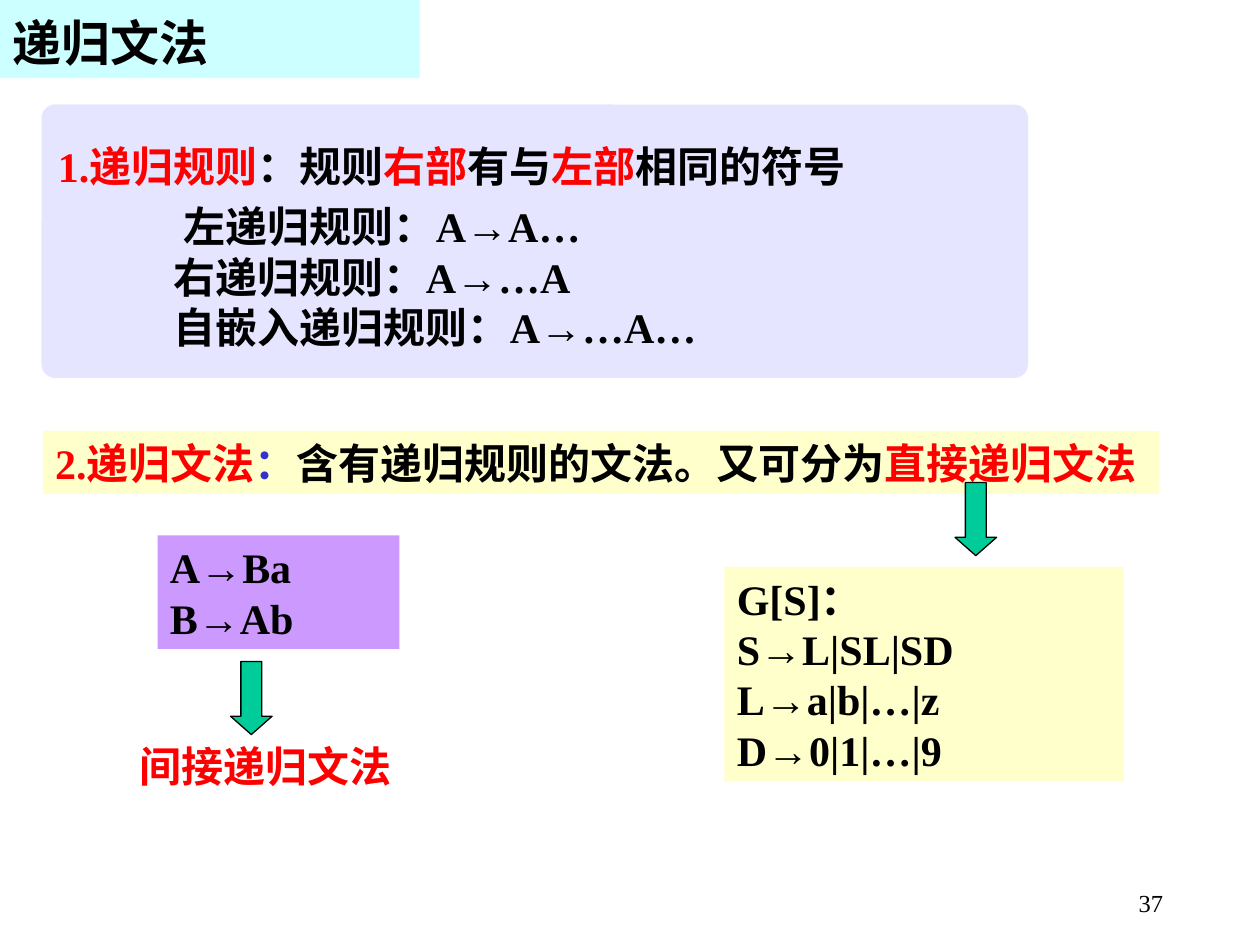
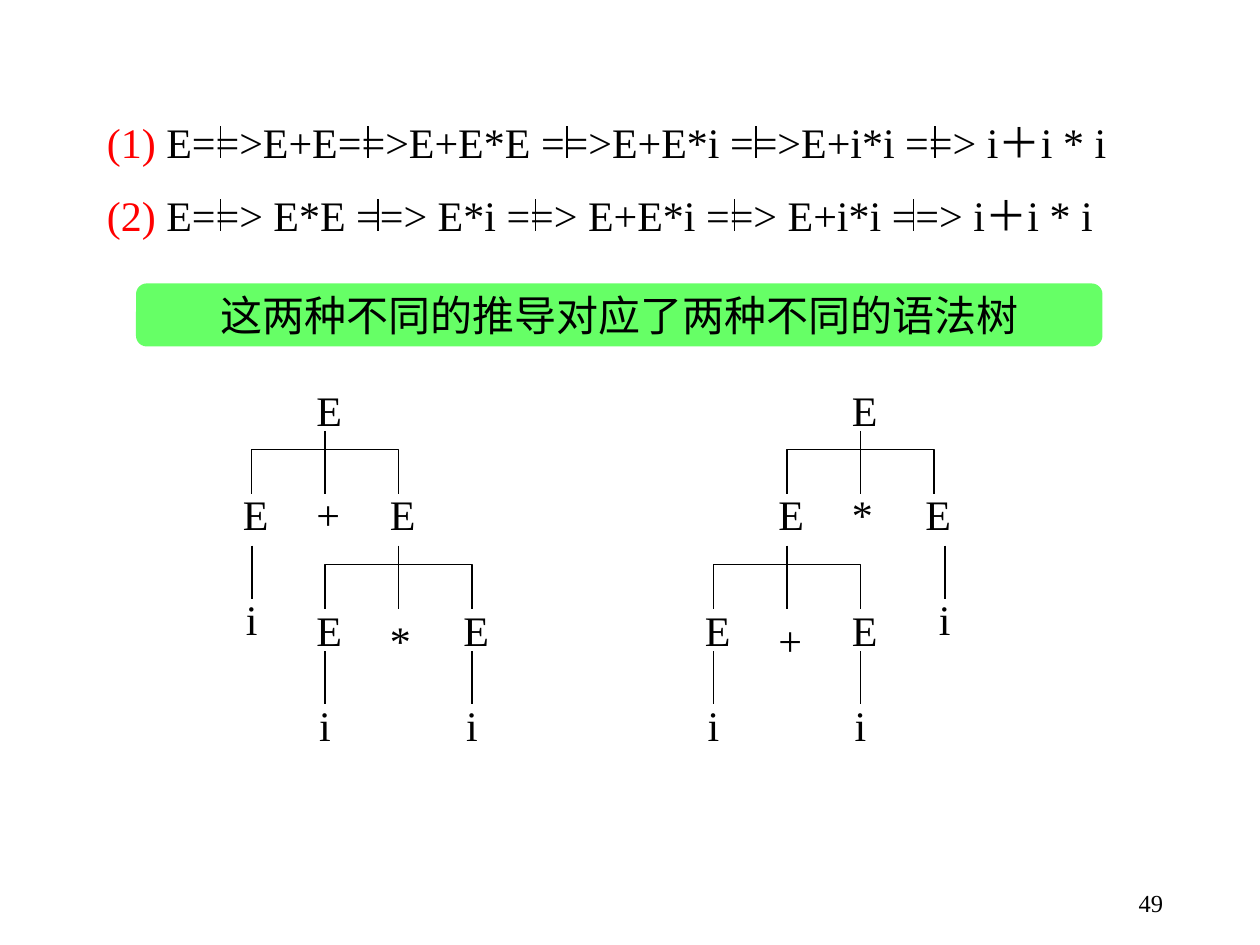
from dataclasses import dataclass
from lxml.etree import SubElement
from pptx import Presentation
from pptx.dml.color import RGBColor
from pptx.enum.shapes import MSO_CONNECTOR, MSO_SHAPE
from pptx.enum.text import MSO_ANCHOR, MSO_AUTO_SIZE, PP_ALIGN
from pptx.oxml.ns import qn
from pptx.shapes.autoshape import Shape
from pptx.slide import Slide
from pptx.util import Inches, Pt

FONT = "Times New Roman"
COLORS = {
    "black": "000000", "red": "FF0000", "blue": "3333CC", "cyan": "CCFFFF",
    "lilac": "CCCCFF", "cream": "FFFFCC", "violet": "CC99FF",
    "lime": "66FF66", "teal": "00CC99",
}
STEP = 7 / 12  # width of one tree column
STEM = 0.5
LEAF = 0.42


@dataclass
class Line:
    """One paragraph: its runs as (text, colour) pairs, and its layout."""
    runs: list[tuple[str, str]]
    indent: float = 0
    pitch: float = 1.0


@dataclass
class Box:
    left: float
    top: float
    width: float
    height: float
    lines: list[Line]
    fill: str | None = None
    size: int = 24
    bold: bool = False
    align: PP_ALIGN = PP_ALIGN.LEFT
    anchor: MSO_ANCHOR = MSO_ANCHOR.TOP
    wrap: bool = True
    round: float | None = None
    alpha: int | None = None

    @property
    def place(self) -> list[Inches]:
        return [Inches(n) for n in (self.left, self.top, self.width, self.height)]


@dataclass
class Tree:
    """A syntax tree; side is +1 or -1, where the second branch hangs."""
    root: float
    side: int
    first: str
    second: str
    leaf: float


def plain(text: str, color: str = "black", indent: float = 0, pitch: float = 1.0) -> Line:
    return Line([(text, color)], indent, pitch)


def rgb(name: str) -> RGBColor:
    return RGBColor.from_string(COLORS[name])


def paint(shape: Shape, color: str) -> None:
    shape.fill.solid()
    shape.fill.fore_color.rgb = rgb(color)


def write(shape: Shape, box: Box) -> None:
    frame = shape.text_frame
    frame.auto_size = MSO_AUTO_SIZE.NONE
    frame.word_wrap = box.wrap
    frame.vertical_anchor = box.anchor
    for i, line in enumerate(box.lines):
        para = frame.paragraphs[0] if i == 0 else frame.add_paragraph()
        para.alignment = box.align
        para.line_spacing = line.pitch
        if line.indent:
            props = para._p.get_or_add_pPr()
            props.set("marL", str(Inches(line.indent)))
            props.set("indent", "0")
        font = para.font
        font.name, font.size, font.bold = FONT, Pt(box.size), box.bold
        font.color.rgb = rgb(line.runs[0][1])
        for text, color in line.runs:
            run = para.add_run()
            run.text = text
            if len(line.runs) > 1:
                run.font.color.rgb = rgb(color)


def draw(slide: Slide, box: Box) -> None:
    if box.fill is None:
        shape = slide.shapes.add_textbox(*box.place)
    else:
        kind = MSO_SHAPE.RECTANGLE if box.round is None else MSO_SHAPE.ROUNDED_RECTANGLE
        shape = slide.shapes.add_shape(kind, *box.place)
        shape.shadow.inherit = False
        shape.line.fill.background()
        paint(shape, box.fill)
        if box.round is not None:
            shape.adjustments[0] = box.round
        if box.alpha is not None:
            tint = shape._element.spPr.find(".//" + qn("a:srgbClr"))
            SubElement(tint, qn("a:alpha"), val=str(box.alpha * 1000))
    write(shape, box)


def set_title(slide: Slide, text: str) -> None:
    box = Box(0, 0, 3.33, 0.62, [plain(text)], size=28, bold=True,
              anchor=MSO_ANCHOR.BOTTOM)
    title = slide.shapes.title
    title.left, title.top, title.width, title.height = box.place
    paint(title, "cyan")
    write(title, box)


def number(slide: Slide, page: int) -> None:
    draw(slide, Box(7.25, 7, 2.08, 0.5, [plain(str(page))], size=14,
                    align=PP_ALIGN.RIGHT))


def arrow(slide: Slide, left: float, top: float) -> None:
    shape = slide.shapes.add_shape(MSO_SHAPE.DOWN_ARROW, Inches(left), Inches(top),
                                   Inches(0.33), Inches(0.58))
    shape.adjustments[1] = 0.44
    shape.shadow.inherit = False
    paint(shape, "teal")
    shape.line.color.rgb = rgb("black")
    shape.line.width = Pt(0.75)


def stroke(slide: Slide, x: float, top: float, length: float) -> None:
    """Draw an upright line."""
    line = slide.shapes.add_connector(MSO_CONNECTOR.STRAIGHT, Inches(x), Inches(top),
                                      Inches(x), Inches(top + length))
    line.line.color.rgb = rgb("black")
    line.line.width = Pt(0.75)
    SubElement(line._element.spPr, qn("a:effectLst"))


def branch(slide: Slide, x: float, top: float) -> None:
    """Draw a stem with a bracket that reaches one column to each side."""
    stroke(slide, x, top, STEM)
    left, right = Inches(x - STEP), Inches(x + STEP)
    arm, foot = Inches(top + 0.15), Inches(top + STEM)
    path = slide.shapes.build_freeform(left, foot)
    path.add_line_segments([(left, arm), (right, arm), (right, foot)], close=False)
    shape = path.convert_to_shape()
    shape.shadow.inherit = False
    shape.fill.background()
    shape.line.color.rgb = rgb("black")
    shape.line.width = Pt(0.75)


def node(slide: Slide, text: str, x: float, top: float,
         align: PP_ALIGN = PP_ALIGN.LEFT) -> None:
    draw(slide, Box(x - 1 / 6, top, 0.33, 0.5, [plain(text)], align=align))


def grow(slide: Slide, tree: Tree) -> None:
    def col(n: float) -> float:
        return tree.root + n * STEP

    side = tree.side
    for n, top in ((0, 3.42), (side, 4.33)):
        branch(slide, col(n), top)
    for n, top in ((0, 3), (-1, 3.83), (1, 3.83), (side - 1, 4.75), (side + 1, 4.75)):
        node(slide, "E", col(n), top)
    node(slide, tree.first, col(0), 3.83)
    node(slide, tree.second, col(side), 4.83)
    for x, top in ((tree.leaf, 4.33), (col(side - 1), 5.17), (col(side + 1), 5.17)):
        stroke(slide, x, top, LEAF)
        node(slide, "i", x, top + 0.33, PP_ALIGN.CENTER)


def derive(slide: Slide, top: float, mark: str, steps: str, ticks: list[float]) -> None:
    """Write one derivation and tick each of its arrows."""
    line = Line([(mark, "red"), (steps, "black")], pitch=0.9)
    draw(slide, Box(0.75, top, 8.83, 0.46, [line]))
    for x in ticks:
        stroke(slide, x, top + 0.08, 0.25)


def rules(slide: Slide) -> None:
    set_title(slide, "递归文法")
    kinds = [
        Line([("1.递归规则", "red"), ("：规则", "black"), ("右部", "red"),
              ("有与", "black"), ("左部", "red"), ("相同的符号", "black")], pitch=1.2),
        plain("左递归规则：A→A…", indent=1, pitch=1.2),
        plain("右递归规则：A→…A", indent=0.92),
        plain("自嵌入递归规则：A→…A…", indent=0.92),
    ]
    term = Line([("2.递归文法", "red"), ("：", "blue"),
                 ("含有递归规则的文法。又可分为", "black"), ("直接递归文法", "red")])
    pair = [plain(text) for text in ("A→Ba", "B→Ab")]
    grammar = [plain(text) for text in ("G[S]：", "S→L|SL|SD", "L→a|b|…|z", "D→0|1|…|9")]
    for box in (
        Box(0.33, 0.83, 7.83, 2.17, kinds, "lilac", bold=True,
            anchor=MSO_ANCHOR.MIDDLE, wrap=False, round=0.05, alpha=50),
        Box(0.34, 3.42, 8.86, 0.5, [term], "cream", bold=True, wrap=False),
        Box(1.25, 4.25, 1.92, 0.9, pair, "violet", bold=True),
        Box(5.75, 4.5, 3.17, 1.7, grammar, "cream", bold=True),
        Box(1.01, 5.83, 2.2, 0.5, [plain("间接递归文法", "red")], bold=True, wrap=False),
    ):
        draw(slide, box)
    arrow(slide, 7.58, 3.83)
    arrow(slide, 1.83, 5.25)
    number(slide, 37)


def trees(slide: Slide) -> None:
    grow(slide, Tree(2.58, 1, "+", "*", 2))
    grow(slide, Tree(6.83, -1, "*", "+", 7.5))
    draw(slide, Box(1.08, 2.25, 7.67, 0.5, [plain("这两种不同的推导对应了两种不同的语法树")],
                    "lime", align=PP_ALIGN.CENTER, anchor=MSO_ANCHOR.MIDDLE,
                    wrap=False, round=0.17))
    derive(slide, 0.92, "(1)", " E==>E+E==>E+E*E ==>E+E*i ==>E+i*i ==> i＋i * i",
           [1.75, 2.92, 4.5, 6, 7.42])
    derive(slide, 1.5, "(2)", " E==> E*E ==> E*i ==> E+E*i ==> E+i*i ==> i＋i * i",
           [1.75, 3, 4.25, 5.83, 7.25])
    number(slide, 49)


def main() -> None:
    deck = Presentation()
    deck.slide_width, deck.slide_height = Inches(10), Inches(7.5)
    rules(deck.slides.add_slide(deck.slide_layouts[5]))
    trees(deck.slides.add_slide(deck.slide_layouts[6]))
    deck.save("out.pptx")


if __name__ == "__main__":
    main()
